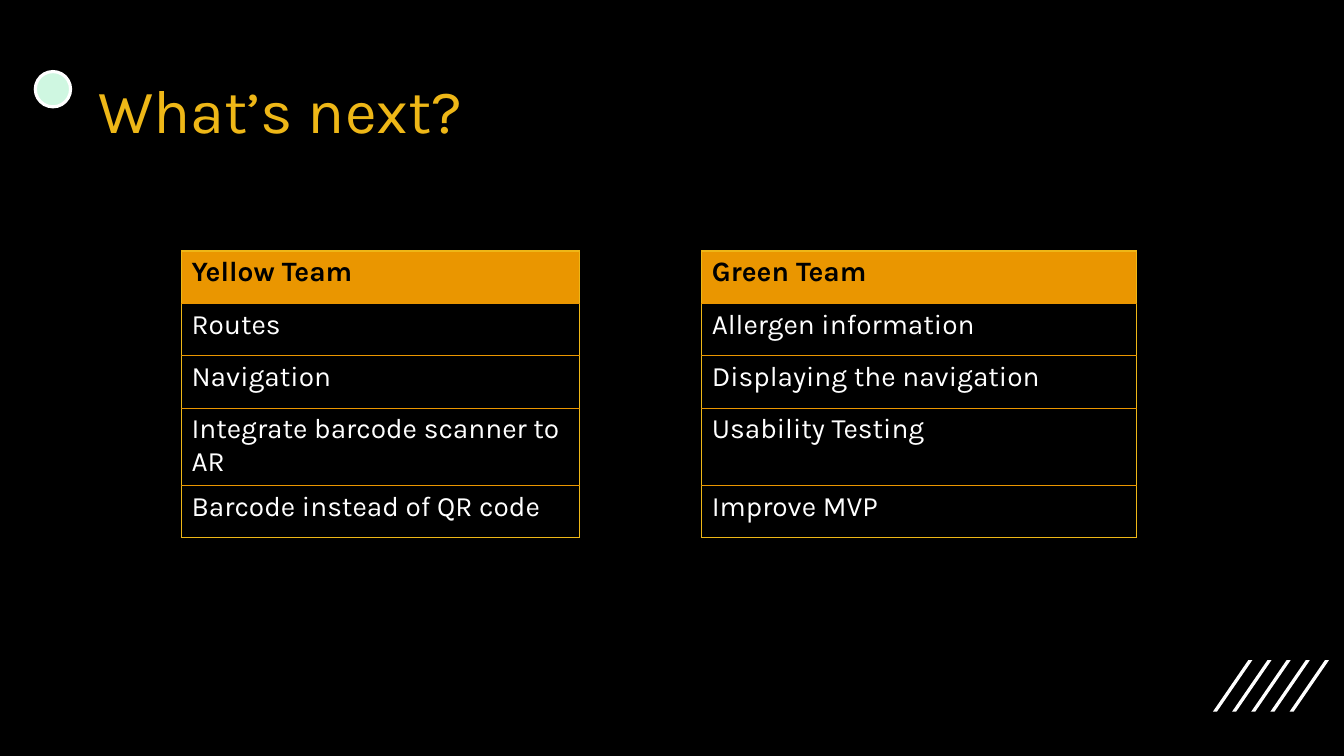
import pptx
import pptx.util
import pptx.dml.color
import pptx.enum.shapes
import pptx.enum.text
import pptx.oxml.ns
from lxml import etree
from pptx.util import Inches


def color(value):
    return pptx.dml.color.RGBColor.from_string(value)


def add_border(cell, side, value, points):
    line = etree.SubElement(cell._tc.get_or_add_tcPr(), pptx.oxml.ns.qn("a:ln" + side))
    line.set("w", str(pptx.util.Pt(points)))
    fill = etree.SubElement(line, pptx.oxml.ns.qn("a:solidFill"))
    etree.SubElement(fill, pptx.oxml.ns.qn("a:srgbClr")).set("val", value)


BLACK, WHITE, YELLOW, ORANGE = "000000", "FFFFFF", "EEB717", "EA9600"

presentation = pptx.Presentation()
presentation.slide_width = Inches(13.33)
presentation.slide_height = Inches(7.5)
slide = presentation.slides.add_slide(presentation.slide_layouts[6])
slide.background.fill.solid()
slide.background.fill.fore_color.rgb = color(BLACK)

for index in range(5):
    left = 12.03 + 0.19 * index
    builder = slide.shapes.build_freeform(Inches(left + 0.04), Inches(7.06), scale=1.0)
    builder.add_line_segments([
        (Inches(left), Inches(7.06)),
        (Inches(left + 0.35), Inches(6.55)),
        (Inches(left + 0.39), Inches(6.55)),
    ])
    stripe = builder.convert_to_shape()
    stripe.shadow.inherit = False
    stripe.fill.solid()
    stripe.fill.fore_color.rgb = color(WHITE)
    stripe.line.fill.background()

dot = slide.shapes.add_shape(
    pptx.enum.shapes.MSO_SHAPE.OVAL, Inches(0.35), Inches(0.71), Inches(0.35), Inches(0.35))
dot.shadow.inherit = False
dot.fill.solid()
dot.fill.fore_color.rgb = color("CFF7E1")
dot.line.color.rgb = color(WHITE)
dot.line.width = pptx.util.Pt(2.25)

title = slide.shapes.add_textbox(Inches(0.88), Inches(0.4), Inches(11.5), Inches(1.45))
title.text_frame.word_wrap = True
title.text_frame.vertical_anchor = pptx.enum.text.MSO_ANCHOR.MIDDLE
title.text_frame.text = "What’s next?"
paragraph = title.text_frame.paragraphs[0]
paragraph.line_spacing = 0.9
paragraph.font.size = pptx.util.Pt(44)
paragraph.font.name = "Karla"
paragraph.font.color.rgb = color(YELLOW)

rows = [
    ("Yellow Team", "", "Green Team"),
    ("Routes", "", "Allergen information"),
    ("Navigation", "", "Displaying the navigation"),
    ("Integrate barcode scanner to AR", "", "Usability Testing"),
    ("Barcode instead of QR code", "", "Improve MVP"),
]
table = slide.shapes.add_table(
    len(rows), 3, Inches(1.8), Inches(2.49), Inches(9.47), Inches(2.6)).table
table.first_row = False
table.horz_banding = False
style = table._tbl.tblPr.find(pptx.oxml.ns.qn("a:tableStyleId"))
style.text = "{2D5ABB26-0587-4C30-8999-92F81FD0307C}"
for column, width in zip(table.columns, (3.95, 1.21, 4.31)):
    column.width = Inches(width)

last = len(rows) - 1
for row_index, texts in enumerate(rows):
    table.rows[row_index].height = Inches(0.52)
    is_header = row_index == 0
    for column_index, text in enumerate(texts):
        cell = table.cell(row_index, column_index)
        if text:
            add_border(cell, "L", YELLOW, 1)
            add_border(cell, "R", YELLOW, 1)
            add_border(cell, "T", *((YELLOW, 1) if is_header else (ORANGE, 0.5)))
            add_border(cell, "B", *((YELLOW, 1) if row_index == last else (ORANGE, 0.5)))
            cell.text_frame.text = text
            font = cell.text_frame.paragraphs[0].runs[0].font
            font.size = pptx.util.Pt(20)
            font.name = "Karla"
            font.bold = is_header
            font.color.rgb = color(BLACK if is_header else WHITE)
        cell.fill.solid()
        cell.fill.fore_color.rgb = color(ORANGE if is_header and text else BLACK)

presentation.save("out.pptx")
